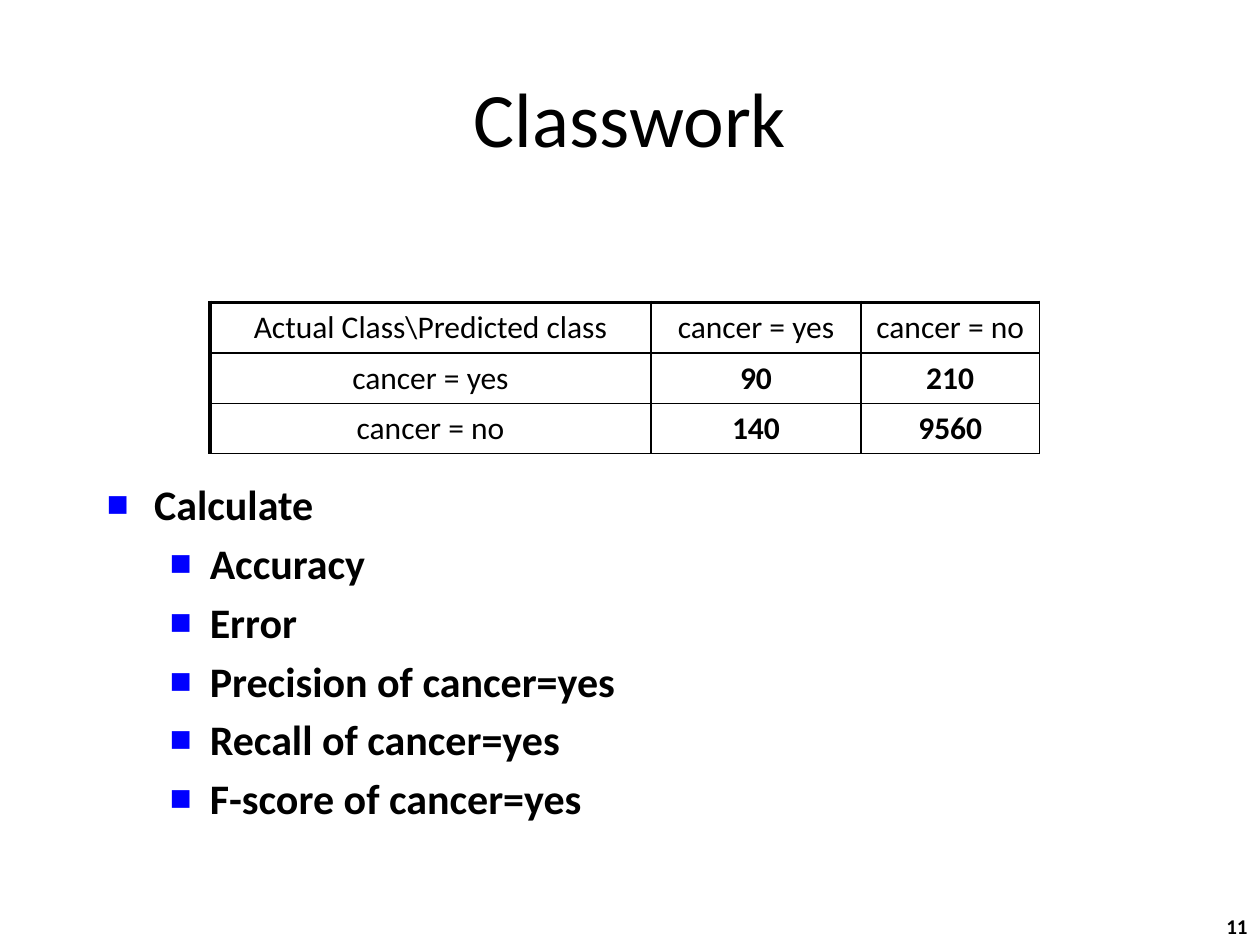
from dataclasses import dataclass

from lxml import etree
from pptx import Presentation
from pptx import util as u
from pptx.dml.color import RGBColor
from pptx.enum import text
from pptx.oxml.ns import qn

PX = 7620


@dataclass(frozen=True)
class Theme:
    """Colours, font and type sizes of the slide."""
    ink: str = "000000"
    bullet: str = "0000FF"
    font: str = "Calibri"
    title: int = 44
    body: int = 24
    cell: int = 18
    number: int = 12
    rule: float = 1
    edge: float = 2.25


THEME = Theme()


def px(*values):
    """Turn px lengths into EMU."""
    return [u.Emu(v * PX) for v in values]


def add_xml(parent, tag, **attrs):
    """Append a drawing element with the given attributes."""
    return etree.SubElement(parent, qn(f"a:{tag}"), {k: str(v) for k, v in attrs.items()})


def style(p, size, bold=False, align=text.PP_ALIGN.LEFT):
    """Set the alignment and font of a paragraph."""
    p.alignment = align
    p.font.name = THEME.font
    p.font.size = u.Pt(size)
    p.font.bold = bold
    p.font.color.rgb = RGBColor.from_string(THEME.ink)


def space_before(p):
    """Put a fifth of a line above a paragraph."""
    add_xml(add_xml(p._p.get_or_add_pPr(), "spcBef"), "spcPct", val=20000)


def add_bullet(p, margin, hang):
    """Give a paragraph a small square bullet and a hanging indent."""
    pPr = p._p.get_or_add_pPr()
    pPr.set("marL", str(margin * PX))
    pPr.set("indent", str(-hang * PX))
    add_xml(add_xml(pPr, "buClr"), "srgbClr", val=THEME.bullet)
    add_xml(pPr, "buSzPct", val=55000)
    add_xml(pPr, "buFont", typeface=THEME.font)
    add_xml(pPr, "buChar", char="■")


def set_borders(cell, row, col):
    """Rule a cell, heavier on the table's left and top edges."""
    tcPr = cell._tc.get_or_add_tcPr()
    heavy = {"lnL": col == 0, "lnT": row == 0}
    for side in ("lnL", "lnR", "lnT", "lnB"):
        width = THEME.edge if heavy.get(side) else THEME.rule
        ln = add_xml(tcPr, side, w=int(u.Pt(width)))
        add_xml(add_xml(ln, "solidFill"), "srgbClr", val=THEME.ink)


def place_title(slide, box, words):
    """Place and format the title."""
    sp = slide.shapes.title
    sp.left, sp.top, sp.width, sp.height = px(*box)
    tf = sp.text_frame
    tf.text = words
    tf.vertical_anchor = text.MSO_ANCHOR.MIDDLE
    style(tf.paragraphs[0], THEME.title, align=text.PP_ALIGN.CENTER)


def add_text_frame(slide, box, anchor):
    """Add a wrapping text box and return its frame."""
    tf = slide.shapes.add_textbox(*px(*box)).text_frame
    tf.word_wrap = True
    tf.vertical_anchor = anchor
    return tf


def add_number(slide, box, number):
    """Add the slide number."""
    tf = add_text_frame(slide, box, text.MSO_ANCHOR.BOTTOM)
    tf.text = number
    style(tf.paragraphs[0], THEME.number, True, text.PP_ALIGN.RIGHT)


def add_confusion_matrix(slide, box, widths, rows):
    """Add the table of actual against predicted classes."""
    table = slide.shapes.add_table(len(rows), len(widths), *px(*box)).table
    table.first_row = table.horz_banding = False
    for column, width in zip(table.columns, px(*widths)):
        column.width = width
    for i, row in enumerate(rows):
        for j, words in enumerate(row):
            cell = table.cell(i, j)
            cell.text = words
            p = cell.text_frame.paragraphs[0]
            space_before(p)
            style(p, THEME.cell, i > 0 and j > 0, text.PP_ALIGN.CENTER)
            set_borders(cell, i, j)
            cell.fill.background()


def add_tasks(slide, box, heading, tasks):
    """Add the bulleted heading with its tasks one level below."""
    tf = add_text_frame(slide, box, text.MSO_ANCHOR.TOP)
    for i, words in enumerate([heading, *tasks]):
        p = tf.add_paragraph() if i else tf.paragraphs[0]
        p.text = words
        p.level = min(i, 1)
        space_before(p)
        add_bullet(p, *((98, 38) if i else (45, 45)))
        style(p, THEME.body, True)


def main():
    """Build the classwork slide."""
    prs = Presentation()
    prs.slide_width, prs.slide_height = px(1200, 900)
    slide = prs.slides.add_slide(prs.slide_layouts[5])
    place_title(slide, (60, 36, 1080, 150), "Classwork")
    add_number(slide, (950, 850, 250, 50), "11")
    add_confusion_matrix(slide, (200, 288, 790, 144), (420, 200, 170), [
        ("Actual Class\\Predicted class", "cancer = yes", "cancer = no"),
        ("cancer = yes", "90", "210"),
        ("cancer = no", "140", "9560"),
    ])
    add_tasks(slide, (90, 450, 1110, 350), "Calculate", [
        "Accuracy",
        "Error",
        "Precision of cancer=yes",
        "Recall of cancer=yes",
        "F-score of cancer=yes",
    ])
    prs.save("out.pptx")


if __name__ == "__main__":
    main()
